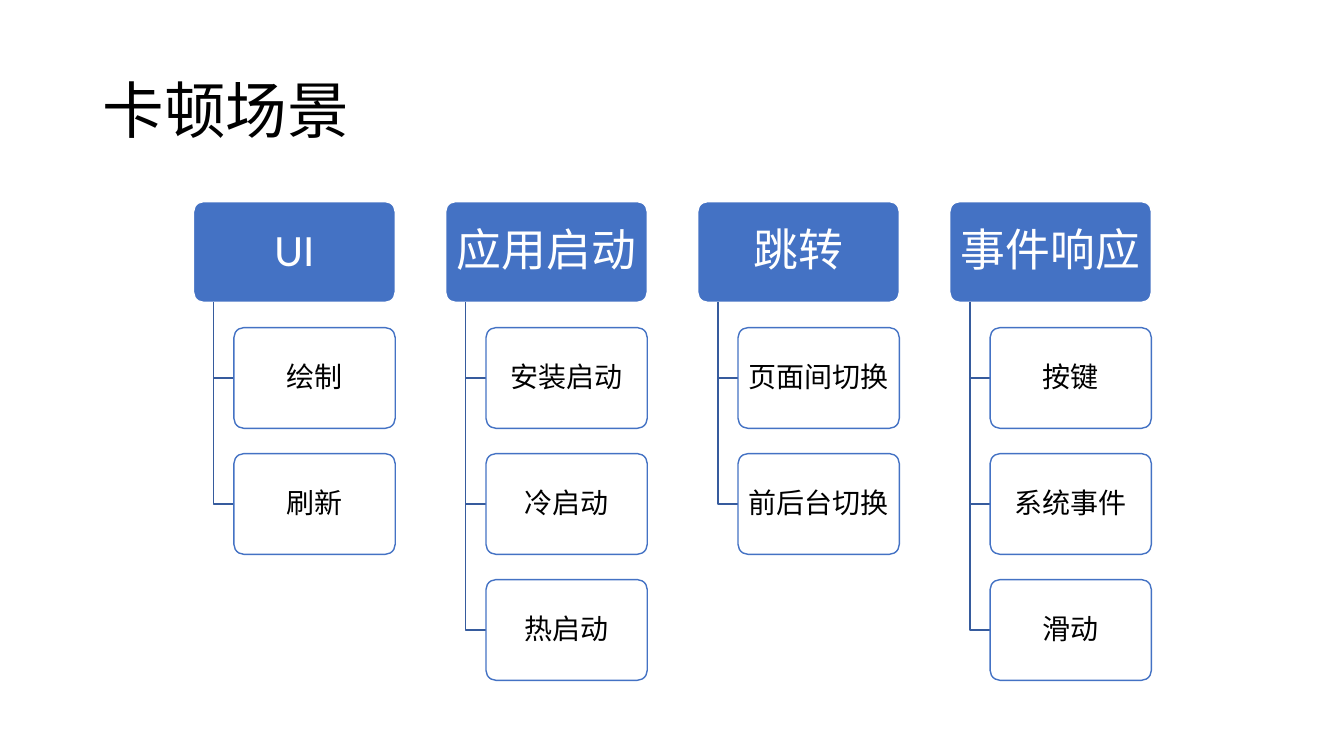
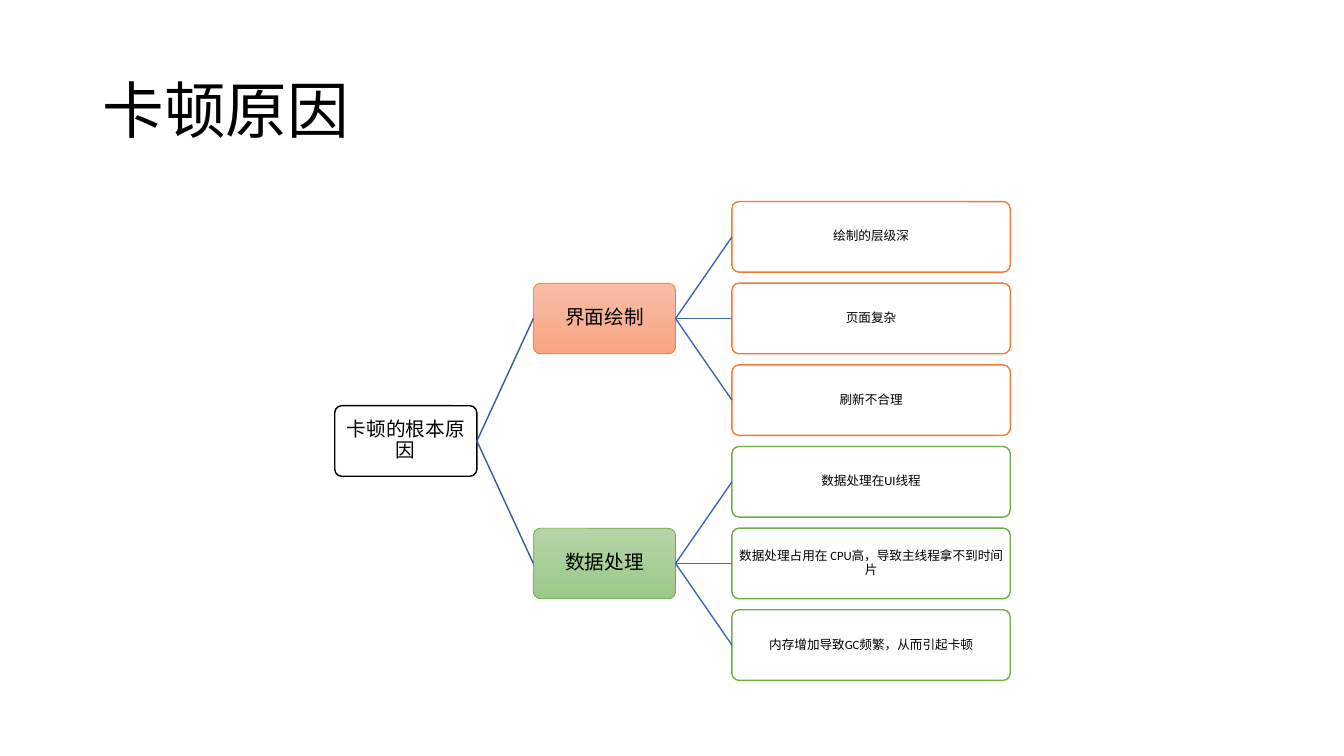
from lxml import etree
from pptx import Presentation
from pptx.dml.color import RGBColor
from pptx.enum.shapes import MSO_CONNECTOR, MSO_SHAPE
from pptx.enum.text import MSO_ANCHOR, PP_ALIGN
from pptx.oxml.ns import qn
from pptx.util import Inches, Pt

FONT = "Calibri"
BLACK = RGBColor(0x00, 0x00, 0x00)
WHITE = RGBColor(0xFF, 0xFF, 0xFF)
BLUE = RGBColor(0x44, 0x72, 0xC4)
DARK_BLUE = RGBColor(0x36, 0x5B, 0x9D)
MID_BLUE = RGBColor(0x3E, 0x67, 0xB2)
ORANGE = RGBColor(0xED, 0x7D, 0x31)
ORANGE_TOP = RGBColor(0xF7, 0xBD, 0xA5)
ORANGE_BOTTOM = RGBColor(0xF8, 0xA5, 0x82)
GREEN = RGBColor(0x70, 0xAD, 0x47)
GREEN_TOP = RGBColor(0xB5, 0xD5, 0xA7)
GREEN_BOTTOM = RGBColor(0x9C, 0xC9, 0x87)


def add_text(slide, text, left, top, width, height, size, color=BLACK, align=PP_ALIGN.CENTER,
             fill=None, line=None, line_width=1, inset=(0.1, 0.05)):
    """Add text, in a rounded box if fill is given: one colour, or (top, bottom) for a gradient."""
    place = Inches(left), Inches(top), Inches(width), Inches(height)
    if fill is None:
        box = slide.shapes.add_textbox(*place)
    else:
        box = slide.shapes.add_shape(MSO_SHAPE.ROUNDED_RECTANGLE, *place)
        box.adjustments[0] = 0.1
        box.shadow.inherit = False
        if isinstance(fill, RGBColor):
            box.fill.solid()
            box.fill.fore_color.rgb = fill
        else:
            box.fill.gradient()
            box.fill.gradient_angle = 270
            for stop, stop_color in zip(box.fill.gradient_stops, fill):
                stop.color.rgb = stop_color
        box.line.color.rgb = line
        box.line.width = Pt(line_width)
    frame = box.text_frame
    frame.word_wrap = True
    frame.vertical_anchor = MSO_ANCHOR.MIDDLE
    frame.margin_left = frame.margin_right = Inches(inset[0])
    frame.margin_top = frame.margin_bottom = Inches(inset[1])
    paragraph = frame.paragraphs[0]
    paragraph.alignment = align
    paragraph.line_spacing = 0.9
    run = paragraph.add_run()
    run.text = text
    run.font.name = FONT
    run.font.size = Pt(size)
    run.font.color.rgb = color
    return box


def join(slide, parent, child, color):
    """Draw a line from the right side of parent to the left side of child."""
    link = slide.shapes.add_connector(MSO_CONNECTOR.STRAIGHT, 0, 0, 0, 0)
    link.begin_connect(parent, 3)
    link.end_connect(child, 1)
    link.line.color.rgb = color
    link.line.width = Pt(1)
    etree.SubElement(link._element.spPr, qn("a:effectLst"))


prs = Presentation()
prs.slide_width = Inches(13.33)
prs.slide_height = Inches(7.5)

slides = []
for title in ("卡顿场景", "卡顿原因"):
    slide = prs.slides.add_slide(prs.slide_layouts[6])
    add_text(slide, title, 0.92, 0.4, 11.5, 1.45, size=44, align=PP_ALIGN.LEFT)
    slides.append(slide)
scenes_slide, causes_slide = slides

# Scenes: one column per kind, its examples hanging below
SCENES = [
    ("UI", ["绘制", "刷新"]),
    ("应用启动", ["安装启动", "冷启动", "热启动"]),
    ("跳转", ["页面间切换", "前后台切换"]),
    ("事件响应", ["按键", "系统事件", "滑动"]),
]
SCENE_TOP, SCENE_HEIGHT, SCENE_STEP = 2, 1, 1.25

for column, (scene, examples) in enumerate(SCENES):
    left = 1.92 + 2.5 * column
    trunk, example_left = left + 0.2, left + 0.4
    add_text(scenes_slide, scene, left, SCENE_TOP, 2, SCENE_HEIGHT, size=32, color=WHITE,
             fill=BLUE, line=WHITE, inset=(0.07, 0.04))
    for row, example in enumerate(examples, start=1):
        top = SCENE_TOP + SCENE_STEP * row
        middle = top + SCENE_HEIGHT / 2
        outline = scenes_slide.shapes.build_freeform(
            Inches(trunk), Inches(SCENE_TOP + SCENE_HEIGHT))
        outline.add_line_segments([(Inches(trunk), Inches(middle)),
                                   (Inches(example_left), Inches(middle))], close=False)
        elbow = outline.convert_to_shape()
        elbow.shadow.inherit = False
        elbow.fill.background()
        elbow.line.color.rgb = DARK_BLUE
        elbow.line.width = Pt(1)
        add_text(scenes_slide, example, example_left, top, 1.6, SCENE_HEIGHT, size=20,
                 fill=WHITE, line=BLUE, inset=(0.04, 0.03))

# Causes: a tree growing to the right, each branch level with its middle detail
CAUSES = [
    ("界面绘制", ORANGE, (ORANGE_TOP, ORANGE_BOTTOM),
     ["绘制的层级深", "页面复杂", "刷新不合理"]),
    ("数据处理", GREEN, (GREEN_TOP, GREEN_BOTTOM),
     ["数据处理在UI线程", "数据处理占用在 CPU高，导致主线程拿不到时间片", "内存增加导致GC频繁，从而引起卡顿"]),
]
CAUSE_TOP, CAUSE_STEP = 2, 0.81
NODE_WIDTH, NODE_HEIGHT = 1.41, 0.7
TIGHT = (0.01, 0.01)

root = add_text(causes_slide, "卡顿的根本原因", 3.32, CAUSE_TOP + 2.5 * CAUSE_STEP, NODE_WIDTH,
                NODE_HEIGHT, size=14, fill=WHITE, line=BLACK, inset=TIGHT)
for group, (cause, accent, gradient, details) in enumerate(CAUSES):
    group_top = CAUSE_TOP + group * len(details) * CAUSE_STEP
    branch = add_text(causes_slide, cause, 5.29, group_top + CAUSE_STEP, NODE_WIDTH, NODE_HEIGHT,
                      size=14, fill=gradient, line=accent, line_width=0.5, inset=TIGHT)
    join(causes_slide, root, branch, DARK_BLUE)
    for row, detail in enumerate(details):
        leaf = add_text(causes_slide, detail, 7.26, group_top + row * CAUSE_STEP, 2.76,
                        NODE_HEIGHT, size=9, fill=WHITE, line=accent, inset=TIGHT)
        join(causes_slide, branch, leaf, MID_BLUE)

prs.save("out.pptx")
